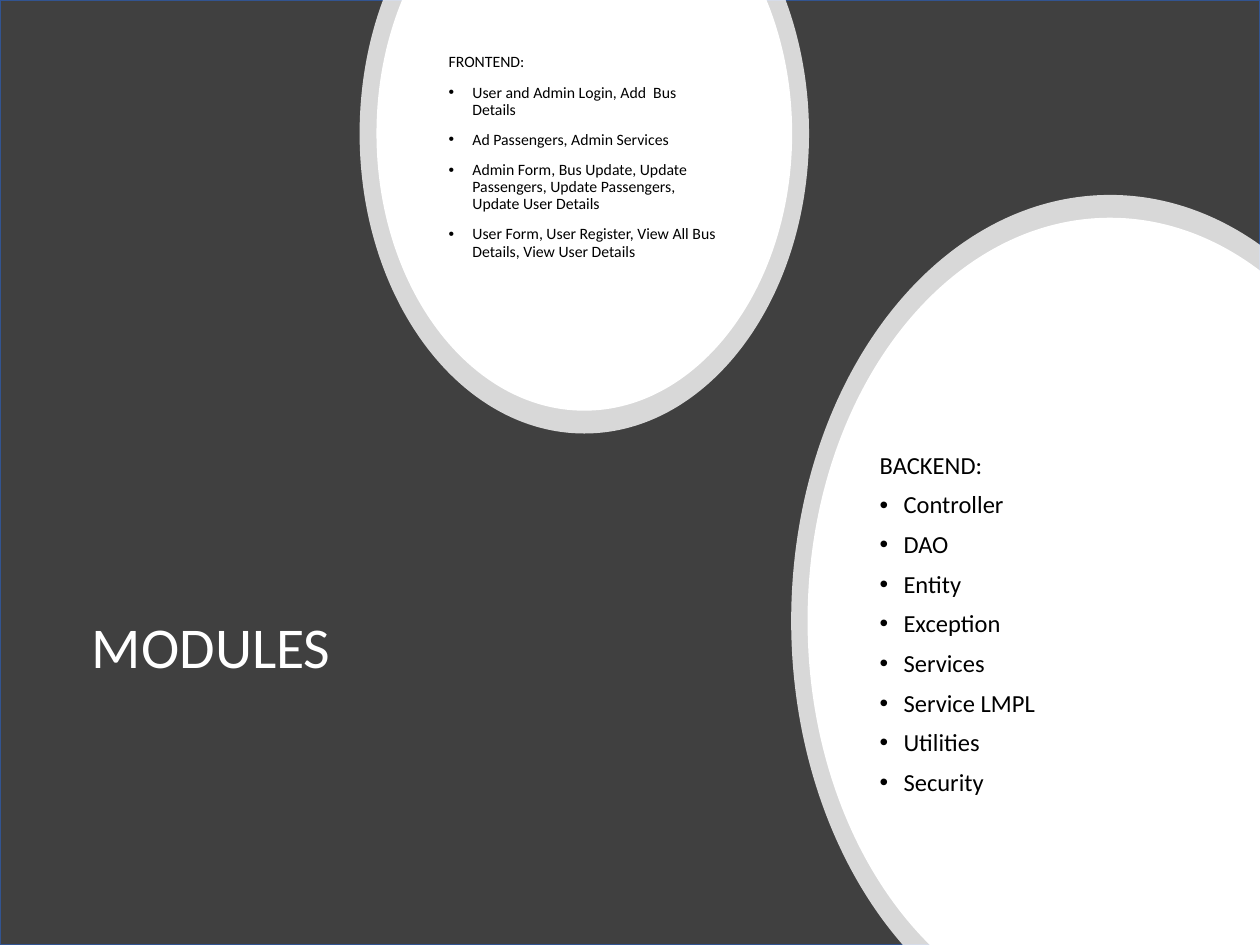
import math

from lxml import etree
from pptx import Presentation
from pptx.dml.color import RGBColor
from pptx.enum.shapes import MSO_SHAPE
from pptx.enum.text import MSO_ANCHOR, MSO_AUTO_SIZE, PP_ALIGN
from pptx.oxml.ns import qn
from pptx.util import Cm, Pt

RECTANGLE = MSO_SHAPE.RECTANGLE
MIDDLE = MSO_ANCHOR.MIDDLE
NO_AUTOFIT = MSO_AUTO_SIZE.NONE
LEFT = PP_ALIGN.LEFT

WIDTH, HEIGHT = 25.4, 19.05
TWO_CONTENT_LAYOUT = 3

FRONTEND = [
    "User and Admin Login, Add  Bus Details",
    "Ad Passengers, Admin Services",
    "Admin Form, Bus Update, Update Passengers, Update Passengers, Update User Details",
    "User Form, User Register, View All Bus Details, View User Details",
]
BACKEND = ["Controller", "DAO", "Entity", "Exception", "Services",
           "Service LMPL", "Utilities", "Security"]


def color(value):
    return RGBColor.from_string(value)


def write(paragraph, text, size, font="Calibri", fill="000000", before=0, bullet=None):
    """Put formatted text into a paragraph, with a hanging bullet if one is given."""
    paragraph.alignment = LEFT
    paragraph.line_spacing = 0.9
    paragraph.space_before = Pt(before)
    run = paragraph.add_run()
    run.text = text
    run.font.name = font
    run.font.size = Pt(size)
    run.font.color.rgb = color(fill)
    properties = paragraph._p.get_or_add_pPr()
    indent = Cm(0.48) if bullet else 0
    properties.set("marL", str(indent))
    properties.set("indent", str(-indent))
    if bullet:
        bullet_font = etree.SubElement(properties, qn("a:buFont"))
        bullet_font.set("typeface", "Arial")
        etree.SubElement(properties, qn("a:buChar")).set("char", bullet)
    else:
        etree.SubElement(properties, qn("a:buNone"))


class SlideBuilder:
    def __init__(self, slide):
        self.slide = slide
        self.panel_color = "404040"
        self.border_color = "325491"
        self.circle_color = "FFFFFF"
        self.title_color = "FFFFFF"

    def panel(self):
        shape = self.slide.shapes.add_shape(RECTANGLE, 0, 0, Cm(WIDTH), Cm(HEIGHT))
        shape.shadow.inherit = False
        shape.fill.solid()
        shape.fill.fore_color.rgb = color(self.panel_color)
        shape.line.color.rgb = color(self.border_color)
        shape.line.width = Pt(1)

    def cut_ellipse(self, center, radii, angles, corners=(), opacity=100):
        """Draw elliptical arcs through the angles, closed by way of the corners."""
        def point(angle, tangent=0.0):
            x = math.cos(angle) - tangent * math.sin(angle)
            y = math.sin(angle) + tangent * math.cos(angle)
            return Cm(center[0] + radii[0] * x), Cm(center[1] + radii[1] * y)

        vertices = [point(angle) for angle in angles]
        vertices += [(Cm(x), Cm(y)) for x, y in corners]
        builder = self.slide.shapes.build_freeform(*vertices[0])
        builder.add_line_segments(vertices[1:], close=True)
        shape = builder.convert_to_shape()

        # Turn the segments between angles into curves
        segments = list(shape._element.iter(qn("a:lnTo")))
        for segment, start, end in zip(segments, angles, angles[1:]):
            tangent = 4 / 3 * math.tan((end - start) / 4)
            segment.tag = qn("a:cubicBezTo")
            controls = (point(start, tangent), point(end, -tangent))
            for position, (x, y) in enumerate(controls):
                control = etree.Element(qn("a:pt"))
                control.set("x", str(x - shape.left))
                control.set("y", str(y - shape.top))
                segment.insert(position, control)

        shape.shadow.inherit = False
        shape.line.fill.background()
        shape.fill.solid()
        shape.fill.fore_color.rgb = color(self.circle_color)
        if opacity < 100:
            fill = shape._element.spPr.find(qn("a:solidFill"))
            etree.SubElement(fill[0], qn("a:alpha")).set("val", str(opacity * 1000))

    def top_ellipse(self, center, radii, opacity=100):
        """Ellipse cut off by the top edge of the slide."""
        cut = math.asin(center[1] / radii[1])
        angles = [-cut, 0, math.pi / 2, math.pi, math.pi + cut]
        self.cut_ellipse(center, radii, angles, opacity=opacity)

    def corner_ellipse(self, center, radii, opacity=100):
        """Ellipse cut off by the bottom and right edges of the slide."""
        bottom = math.pi - math.asin((HEIGHT - center[1]) / radii[1])
        right = math.tau - math.acos((WIDTH - center[0]) / radii[0])
        angles = [bottom, math.pi, 1.5 * math.pi, right]
        self.cut_ellipse(center, radii, angles, [(WIDTH, HEIGHT)], opacity)

    def place(self, index, left, top, width, height):
        """Move a placeholder, bring it to the front and return its text frame."""
        placeholder = self.slide.placeholders[index]
        placeholder.left, placeholder.top = Cm(left), Cm(top)
        placeholder.width, placeholder.height = Cm(width), Cm(height)
        self.slide.shapes._spTree.append(placeholder._element)
        frame = placeholder.text_frame
        frame.word_wrap = True
        frame.auto_size = NO_AUTOFIT
        frame.vertical_anchor = MIDDLE
        return frame

    def title(self, text, box):
        frame = self.place(0, *box)
        write(frame.paragraphs[0], text, 33, fill=self.title_color)

    def module_list(self, index, heading, items, box, size, bottom=0.13):
        frame = self.place(index, *box)
        frame.margin_bottom = Cm(bottom)
        write(frame.paragraphs[0], heading, size, before=7.5)
        for item in items:
            write(frame.add_paragraph(), item, size, before=7.5, bullet="•")


def main():
    presentation = Presentation()
    presentation.slide_width, presentation.slide_height = Cm(WIDTH), Cm(HEIGHT)
    layout = presentation.slide_layouts[TWO_CONTENT_LAYOUT]
    builder = SlideBuilder(presentation.slides.add_slide(layout))

    # Dark background and title
    builder.panel()
    builder.title("MODULES", (1.6, 9.73, 12.62, 6.73))

    # Translucent rings
    frontend_center, backend_center = (11.78, 2.69), (22.38, 12.52)
    builder.top_ellipse(frontend_center, (4.53, 6.05), opacity=80)
    builder.corner_ellipse(backend_center, (6.43, 8.59), opacity=80)

    # White discs with their lists
    builder.top_ellipse(frontend_center, (4.19, 5.59))
    builder.module_list(1, "FRONTEND:", FRONTEND, (8.79, 0.99, 5.99, 4.98), 9, bottom=0.74)
    builder.corner_ellipse(backend_center, (6.1, 8.13))
    builder.module_list(2, "BACKEND:", BACKEND, (17.48, 8.74, 7.24, 7.72), 14)

    presentation.save("out.pptx")


if __name__ == "__main__":
    main()
